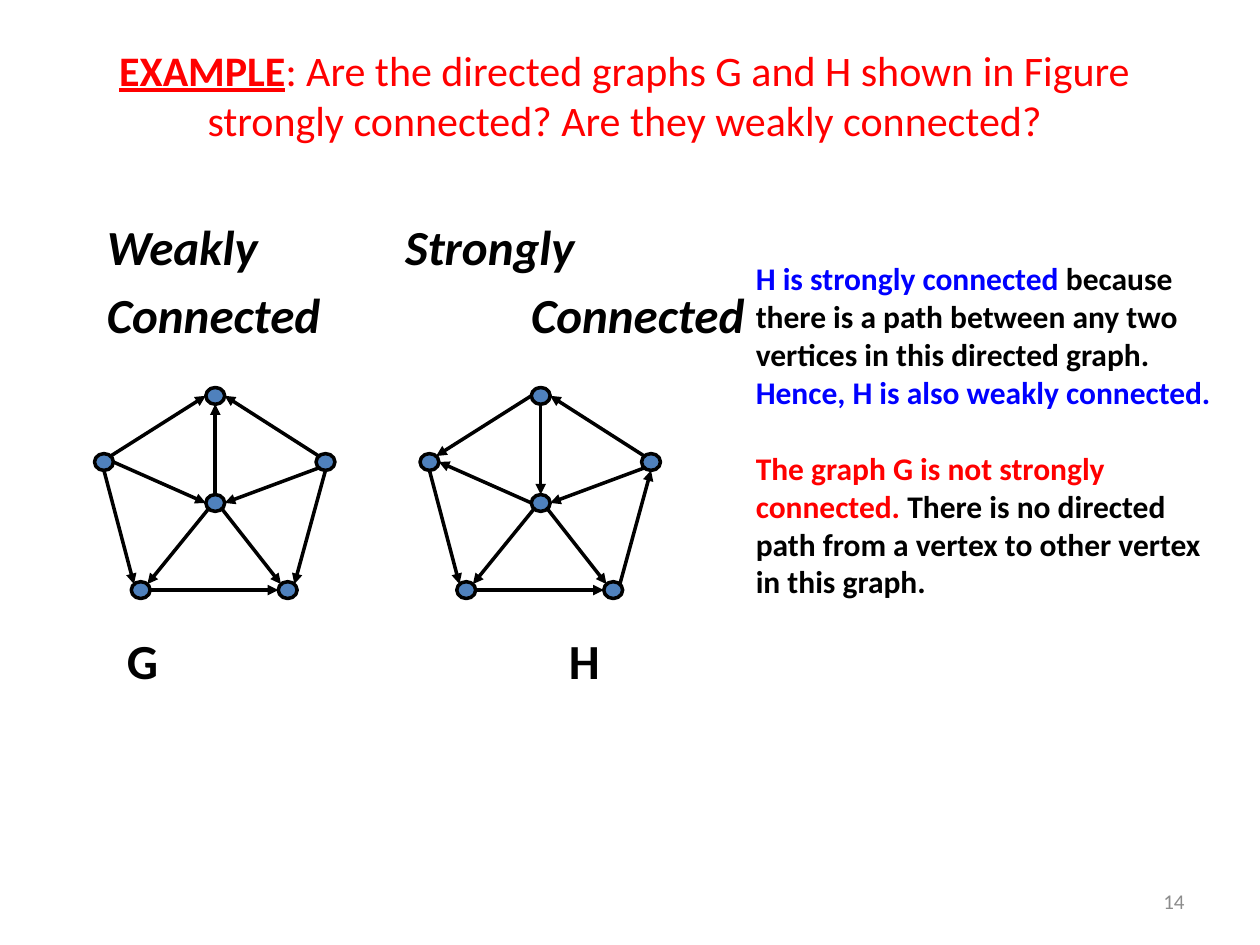
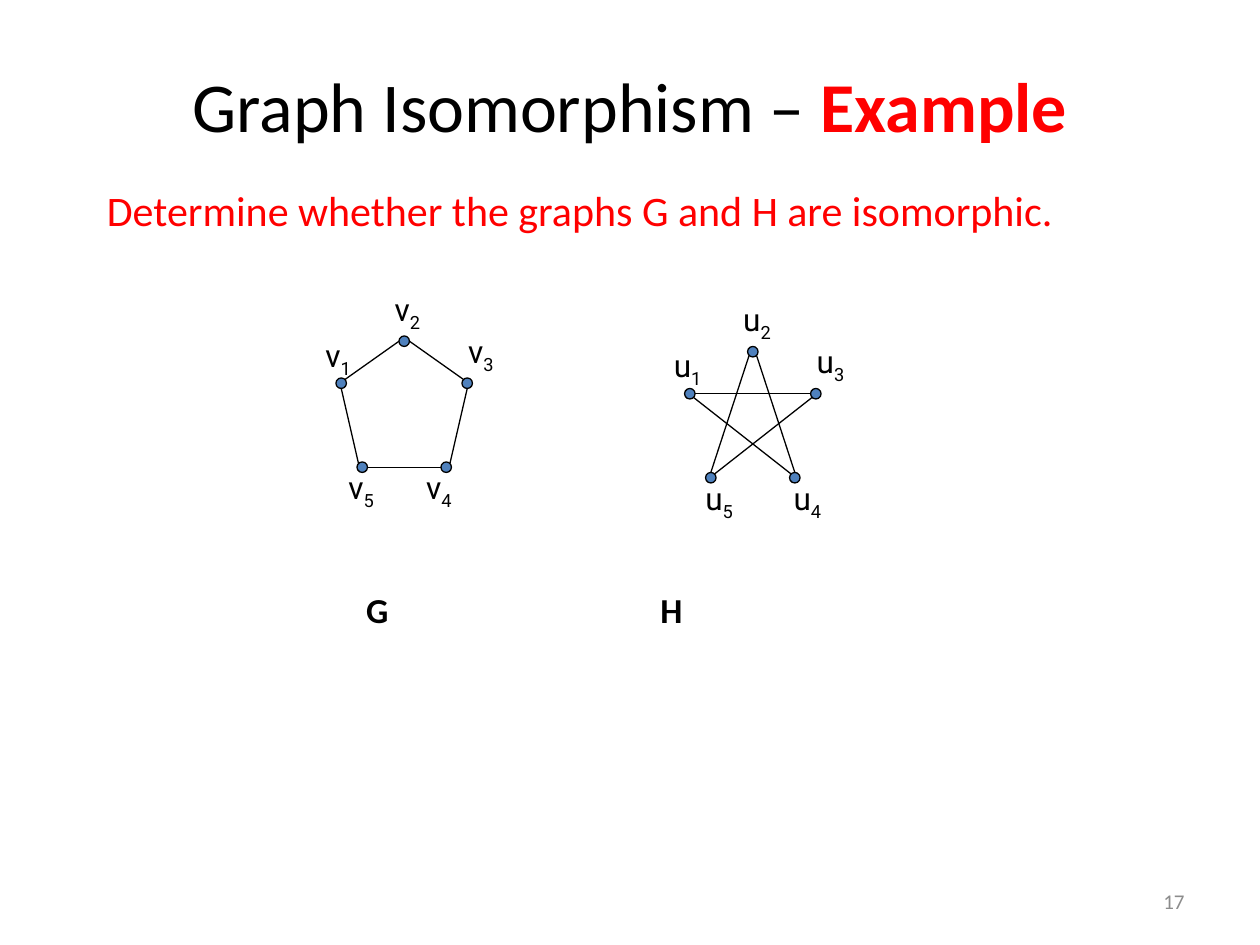
from lxml import etree
from pptx import Presentation, util as u
from pptx.dml.color import RGBColor
from pptx.enum import shapes, text
from pptx.oxml import ns

BLACK, RED, BLUE, GREY, DOT_FILL = "000000", "FF0000", "0000FF", "8C8C8C", "4F81BD"
COLUMNS, ROWS = 120, 90
LEFT, CENTER, RIGHT = text.PP_ALIGN.LEFT, text.PP_ALIGN.CENTER, text.PP_ALIGN.RIGHT
TOP, MIDDLE = text.MSO_ANCHOR.TOP, text.MSO_ANCHOR.MIDDLE
PLAIN = dict(font="Calibri", size=18, color=BLACK, bold=False, italic=False,
             underline=False, lowered=False, align=LEFT, anchor=TOP, wrap=True,
             before=0, tabs=())

# Points on the rim of a vertex, as shares of its radius
RIM = {"N": (0, -1), "E": (1, 0), "S": (0, 1), "W": (-1, 0),
       "NE": (.71, -.71), "SE": (.71, .71), "SW": (-.71, .71), "NW": (-.71, -.71)}

deck = Presentation()
deck.slide_width, deck.slide_height = u.Inches(10), u.Inches(7.5)
column, row = deck.slide_width / COLUMNS, deck.slide_height / ROWS


def write(parent, place, paragraphs, **look):
    """Add a text box; paragraphs are lists of (text, format changes) spans."""
    left, top, width, height = place
    box = parent.add_textbox(int(left * column), int(top * row),
                             int(width * column), int(height * row))
    base = PLAIN | look
    frame = box.text_frame
    frame.word_wrap = base["wrap"]
    frame.vertical_anchor = base["anchor"]
    for number, spans in enumerate(paragraphs):
        para = frame.add_paragraph() if number else frame.paragraphs[0]
        style = base | spans[0][1]
        para.alignment = style["align"]
        para.space_before = u.Pt(style["before"])
        if style["tabs"]:
            stops = etree.SubElement(para._p.get_or_add_pPr(), ns.qn("a:tabLst"))
            for stop in style["tabs"]:
                etree.SubElement(stops, ns.qn("a:tab"), pos=str(int(stop * column)), algn="l")
        for words, changes in spans:
            style = base | changes
            span = para.add_run()
            span.text = words
            span.font.name = style["font"]
            span.font.size = u.Pt(style["size"])
            span.font.bold = style["bold"]
            span.font.italic = style["italic"]
            span.font.underline = style["underline"]
            span.font.color.rgb = RGBColor.from_string(style["color"])
            if style["lowered"]:
                span._r.get_or_add_rPr().set("baseline", "-25000")


def draw_graph(parent, vertices, edges, dot, weight, directed):
    """Draw vertices by their centres, and edges such as '1S 5NW' between rims."""
    wide, high = dot
    for x, y in vertices.values():
        vertex = parent.add_shape(shapes.MSO_SHAPE.OVAL,
                                  int((x - wide / 2) * column), int((y - high / 2) * row),
                                  int(wide * column), int(high * row))
        vertex.shadow.inherit = False
        vertex.fill.solid()
        vertex.fill.fore_color.rgb = RGBColor.from_string(DOT_FILL)
        vertex.line.color.rgb = RGBColor.from_string(BLACK)
        vertex.line.width = u.Pt(weight)
    for edge in edges:
        ends = []
        for end in edge.split():
            (x, y), (right, down) = vertices[end[0]], RIM[end[1:]]
            ends += [int((x + right * wide / 2) * column), int((y + down * high / 2) * row)]
        line = parent.add_connector(shapes.MSO_CONNECTOR.STRAIGHT, *ends)
        line.line.color.rgb = RGBColor.from_string(BLACK)
        line.line.width = u.Pt(weight)
        if directed:
            etree.SubElement(line.line._get_or_add_ln(), ns.qn("a:tailEnd"), type="triangle")
        etree.SubElement(line._element.spPr, ns.qn("a:effectLst"))


pages = []
for number in ("14", "17"):
    page = deck.slides.add_slide(deck.slide_layouts[6])
    write(page.shapes, (86, 83.4, 28, 4.8), [[(number, {})]],
          size=12, color=GREY, align=RIGHT, anchor=MIDDLE)
    pages.append(page.shapes)
connected, isomorphic = pages

# Slide 1: strong and weak connection
write(connected, (5, 4, 109, 10),
      [[("EXAMPLE", dict(bold=True, underline=True)),
        (": Are the directed graphs G and H shown in Figure strongly connected? "
         "Are they weakly connected?", {})]],
      size=24, color=RED, align=CENTER, anchor=MIDDLE)
write(connected, (9, 20, 102, 58),
      [[("Weakly\tStrongly", dict(italic=True, tabs=(28.4,)))],
       [("Connected\tConnected", dict(italic=True, tabs=(40.4,), before=5.6))],
       [("\tG\tH", dict(tabs=(1.9, 44), before=164))]],
      size=28, bold=True)

vertices = {"1": (9.9, 44), "2": (20.5, 37.7), "3": (31, 44),
            "4": (27.4, 56.2), "5": (13.4, 56.2), "6": (20.5, 47.9)}
shared = ["1S 5NW", "5E 4W", "3NW 2E", "6SE 4NW", "6SW 5NE", "3SW 6E"]
turned = ["3S 4NE", "1NE 2W", "1E 6W", "6N 2S"]
# H has the edges of G, four of them the other way round
reverse = [" ".join(reversed(edge.split())) for edge in turned]
for shift, edges in ((0, shared + turned), (31, shared + reverse)):
    moved = {name: (x + shift, y) for name, (x, y) in vertices.items()}
    draw_graph(connected, moved, edges, (1.8, 1.6), 2, True)

write(connected, (70.8, 24.1, 47.2, 34),
      [[("H is strongly connected ", dict(color=BLUE)),
        ("because there is a path between any two vertices in this directed graph. ", {}),
        ("Hence, H is also weakly connected.", dict(color=BLUE))],
       [("The graph G is not strongly connected.", dict(color=RED, before=22)),
        (" There is no directed path from a vertex to other vertex in this graph.", {})]],
      bold=True)

# Slide 2: isomorphism
write(isomorphic, (9, 4, 102, 12),
      [[("Graph Isomorphism – ", {}), ("Example", dict(color=RED, bold=True))]],
      size=40, align=CENTER, anchor=MIDDLE)
write(isomorphic, (9, 17, 98, 61),
      [[("Determine whether the graphs G and H are isomorphic.", dict(size=24, color=RED))],
       [("\tG\tH", dict(bold=True, tabs=(24.7, 52.7), before=202))]],
      size=20)

vertices = {"1": (32.5, 36.5), "2": (38.5, 32.5), "3": (44.5, 36.5),
            "4": (42.5, 44.5), "5": (34.5, 44.5)}
labels = {"1": (29.8, 31.4), "2": (36.4, 27), "3": (43.4, 31)}
graphs = [
    ("v", 0, 0, ["1S 5NW", "5E 4W", "3S 4NE", "2W 1NE", "2E 3NW"],
     {"4": (39.4, 44), "5": (32, 44)}),
    ("u", 33.2, 1, ["1E 3W", "5NE 3SW", "4NW 1SE", "2SW 5N", "2SE 4N"],
     {"4": (41.2, 44), "5": (32.8, 44)}),
]
for letter, right, down, edges, lower_labels in graphs:
    group = isomorphic.add_group_shape().shapes
    moved = {name: (x + right, y + down) for name, (x, y) in vertices.items()}
    draw_graph(group, moved, edges, (1, 1), 0.75, False)
    for name, (x, y) in (labels | lower_labels).items():
        write(group, (x + right, y + down, 5, 4.8),
              [[(letter, {}), (name, dict(lowered=True))]], font="Roboto", wrap=False)

deck.save("out.pptx")
